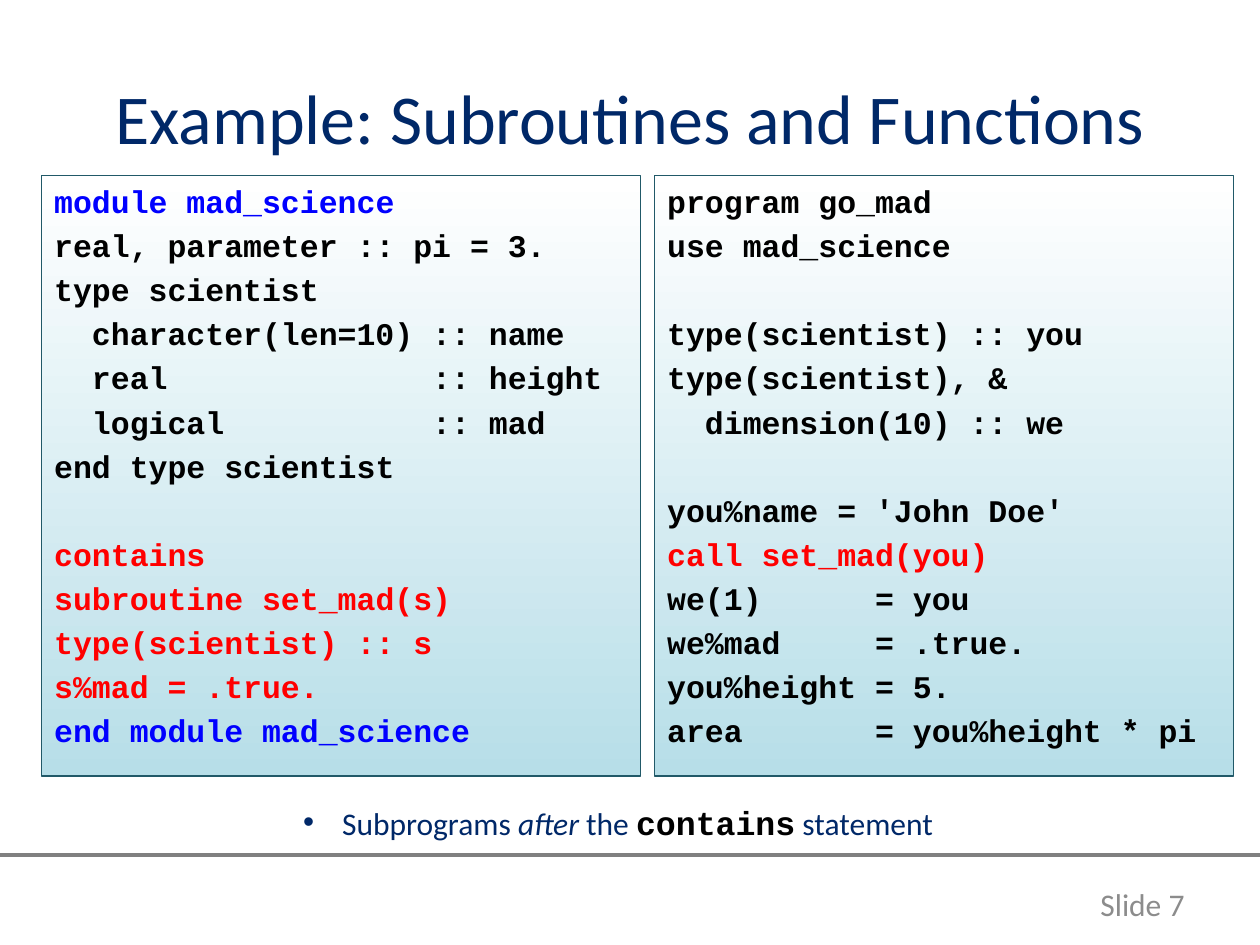
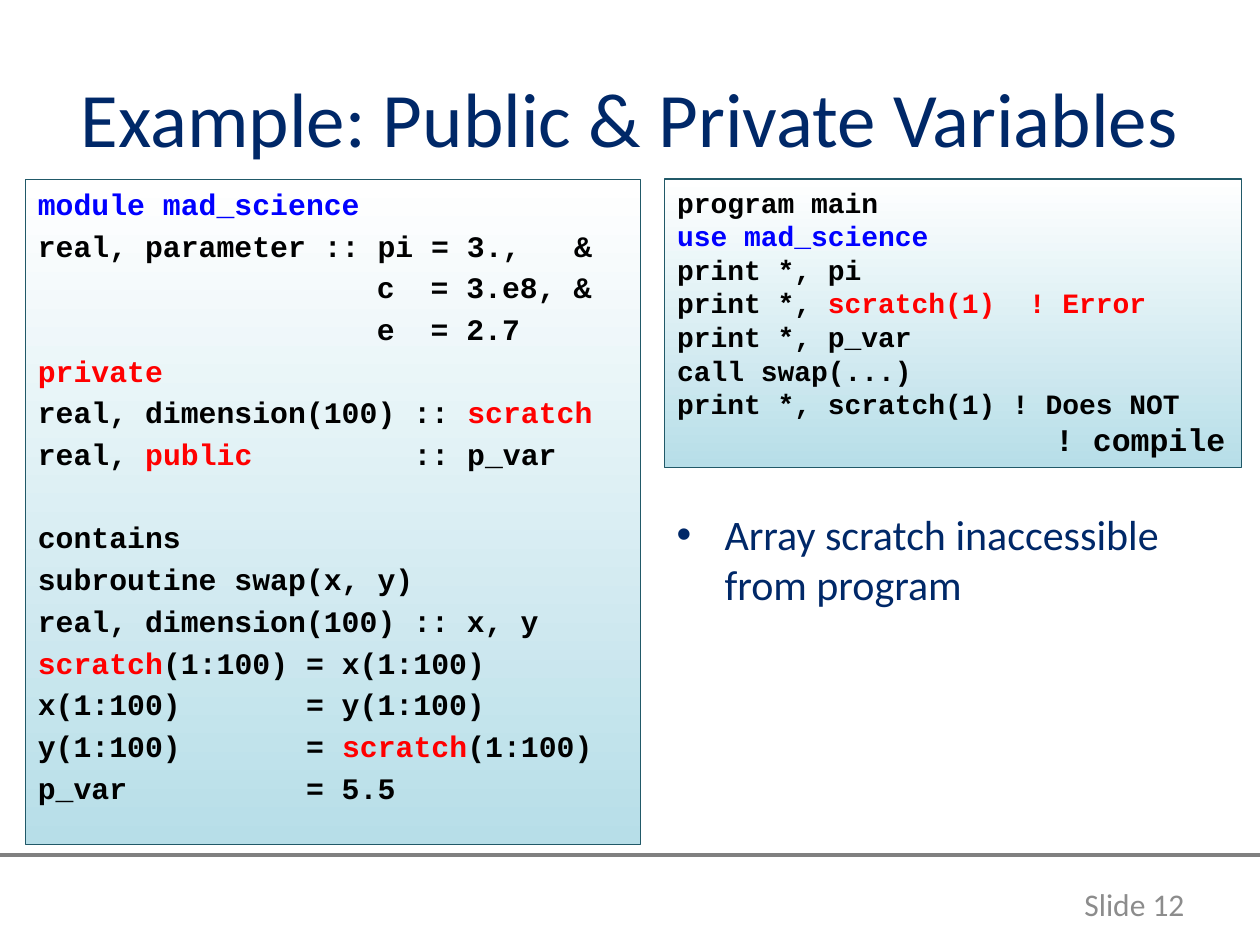
"""Build two slides of Fortran module examples."""
from dataclasses import dataclass
from typing import NamedTuple

from lxml.etree import SubElement
from pptx import Presentation
from pptx.dml.color import RGBColor as RGB
from pptx.enum.shapes import MSO_CONNECTOR as Connector, MSO_SHAPE as Shape
from pptx.enum.text import MSO_ANCHOR as Anchor, MSO_AUTO_SIZE as Fit, PP_ALIGN as Align
from pptx.oxml.ns import qn
from pptx.util import Emu, Inches, Pt


@dataclass(frozen=True)
class Theme:
    sans: str = "Calibri"
    mono: str = "Courier New"
    navy: str = "002868"
    black: str = "000000"
    blue: str = "0000FF"
    red: str = "FF0000"
    rule: str = "808080"
    footer: str = "8C8C8C"
    panel_low: str = "B7DEE8"
    panel_high: str = "FFFFFF"
    panel_edge: str = "215968"
    small: int = 18
    list_size: int = 24
    line_gap: float = 0.2
    line_pitch: float = 1.4
    char_width: float = 0.6


T = Theme()
WIDTH, HEIGHT = Inches(10), Inches(7.5)
COLS, ROWS = 100, 75
RULE_ROW = 67.85


class Box(NamedTuple):
    col: float
    row: float
    cols: float
    rows: float


class Run(NamedTuple):
    text: str
    color: str = T.black
    size: float = T.small
    font: str = T.mono
    bold: bool = True
    italic: bool = False


class Line(NamedTuple):
    runs: tuple[Run, ...]
    column: int = 0
    after_blank: bool = False
    size: float | None = None


@dataclass(frozen=True)
class Code:
    box: Box
    lines: list[Line]
    size: int = T.small
    spacing: float = T.line_gap


def code(*parts: str | Run, column: int = 0, after_blank: bool = False,
         size: float | None = None) -> Line:
    runs = tuple(Run(part) if isinstance(part, str) else part for part in parts)
    return Line(runs, column, after_blank, size)


def red(text: str) -> Run:
    return Run(text, T.red)


def blue(text: str) -> Run:
    return Run(text, T.blue)


def sans(text: str, size: float = T.small, color: str = T.navy, italic: bool = False) -> Run:
    return Run(text, color, size, T.sans, False, italic)


def aligned(left: str, column: int, right: str = "") -> str:
    return left.ljust(column) + right


def grid(box: Box) -> tuple[Emu, Emu, Emu, Emu]:
    x, y = WIDTH / COLS, HEIGHT / ROWS
    return Emu(int(box.col * x)), Emu(int(box.row * y)), Emu(int(box.cols * x)), Emu(int(box.rows * y))


def place(sp, box: Box, anchor=Anchor.TOP, fit=Fit.NONE):
    sp.left, sp.top, sp.width, sp.height = grid(box)
    tf = sp.text_frame
    tf.word_wrap, tf.auto_size, tf.vertical_anchor = True, fit, anchor
    return tf


def add_runs(p, runs: tuple[Run, ...], align=Align.LEFT) -> None:
    p.alignment = align
    for item in runs:
        r = p.add_run()
        r.text = item.text
        f = r.font
        f.name, f.size, f.bold, f.italic = item.font, Pt(item.size), item.bold, item.italic
        f.color.rgb = RGB.from_string(item.color)


def set_indent(p, left: Emu, bullet: bool = False) -> None:
    pPr = p._p.get_or_add_pPr()
    pPr.set("marL", str(int(left)))
    pPr.set("indent", str(-int(left) if bullet else 0))
    if bullet:
        SubElement(pPr, qn("a:buFont"), typeface="Arial")
        SubElement(pPr, qn("a:buChar"), char="•")
    else:
        SubElement(pPr, qn("a:buNone"))


def draw_code(sp, block: Code) -> None:
    tf = place(sp, block.box)
    sp.fill.gradient()
    sp.fill.gradient_angle = 90
    for stop, color in zip(sp.fill.gradient_stops, (T.panel_low, T.panel_high)):
        stop.color.rgb = RGB.from_string(color)
    sp.line.color.rgb = RGB.from_string(T.panel_edge)
    sp.line.width = Pt(0.75)
    for i, line in enumerate(block.lines):
        p = tf.add_paragraph() if i else tf.paragraphs[0]
        size = line.size or block.size
        gap = block.spacing + (T.line_pitch if line.after_blank else 0)
        p.space_before = Pt(gap * size if i else 0)
        add_runs(p, tuple(run._replace(size=size) for run in line.runs))
        set_indent(p, Pt(line.column * size * T.char_width))


def draw_bullet(sp, box: Box, runs: tuple[Run, ...], indent: float,
                align=Align.LEFT, fit=Fit.NONE) -> None:
    p = place(sp, box, fit=fit).paragraphs[0]
    p.space_before = Pt(0)
    add_runs(p, runs, align)
    set_indent(p, Inches(indent), bullet=True)


def add_page(prs, title: str, title_size: int, number: int):
    s = prs.slides.add_slide(prs.slide_layouts[3])
    y = Emu(int(HEIGHT * RULE_ROW / ROWS))
    rule = s.shapes.add_connector(Connector.STRAIGHT, 0, y, WIDTH, y)
    rule.line.color.rgb = RGB.from_string(T.rule)
    rule.line.width = Pt(2)
    SubElement(rule._element.spPr, qn("a:effectLst"))
    footer = Box(84.1, 69.75, 10.9, 4)
    tf = place(s.shapes.add_textbox(*grid(footer)), footer, Anchor.MIDDLE)
    add_runs(tf.paragraphs[0], (sans(f"Slide {number}", color=T.footer),), Align.RIGHT)
    tf = place(s.shapes.title, Box(5, 3, 90, 12.5), Anchor.MIDDLE)
    add_runs(tf.paragraphs[0], (sans(title, title_size),), Align.CENTER)
    return s


SCIENCE_MODULE = Code(Box(3.3, 13.95, 47.55, 47.65), [
    code(blue("module mad_science")),
    code("real, parameter :: pi = 3."),
    code("type scientist"),
    code("character(len=10) :: name", column=2),
    code(aligned("real", 18, ":: height"), column=2),
    code(aligned("logical", 18, ":: mad"), column=2),
    code("end type scientist"),
    code(red("contains"), after_blank=True),
    code(red("subroutine set_mad(s)")),
    code(red("type(scientist) :: s")),
    code(red("s%mad = .true.")),
    code(blue("end module mad_science")),
])

GO_MAD_PROGRAM = Code(Box(51.95, 13.95, 45.95, 47.65), [
    code("program go_mad"),
    code("use mad_science"),
    code("type(scientist) :: you", after_blank=True),
    code("type(scientist), &"),
    code("dimension(10) :: we", column=2),
    code("you%name = 'John Doe'", after_blank=True),
    code(red("call set_mad(you)")),
    code(aligned("we(1)", 11, "= you")),
    code(aligned("we%mad", 11, "= .true.")),
    code("you%height = 5."),
    code(aligned("area", 11, "= you%height * pi")),
])

PRIVATE_MODULE = Code(Box(2, 14.25, 48.85, 52.75), [
    code(blue("module mad_science")),
    code(aligned("real, parameter :: pi = 3.,", 30, "&")),
    code(aligned("c", 3, "= 3.e8, &"), column=19),
    code(aligned("e", 3, "= 2.7"), column=19),
    code(red("private")),
    code("real, dimension(100) :: ", red("scratch")),
    code("real, ", red(aligned("public", 14)), " :: p_var"),
    code("contains", after_blank=True),
    code("subroutine swap(x, y)"),
    code("real, dimension(100) :: x, y"),
    code(red("scratch"), "(1:100) = x(1:100)"),
    code(aligned("x(1:100)", 15, "= y(1:100)")),
    code(aligned("y(1:100)", 15, "= "), red("scratch"), "(1:100)"),
    code(aligned("p_var", 15, "= 5.5")),
], size=17)

MAIN_PROGRAM = Code(Box(52.75, 14.2, 45.8, 22.9), [
    code("program main"),
    code(blue("use mad_science")),
    code("print *, pi"),
    code("print *, ", red(aligned("scratch(1)", 12, "! Error"))),
    code("print *, p_var"),
    code("call swap(...)"),
    code("print *, scratch(1) ! Does NOT"),
    code("! compile", column=20, size=T.small),
], size=16, spacing=0)


def build_subroutines(prs) -> None:
    s = add_page(prs, "Example: Subroutines and Functions", 40, 7)
    draw_code(s.placeholders[1], SCIENCE_MODULE)
    draw_code(s.placeholders[2], GO_MAD_PROGRAM)
    note = Box(19.85, 63.15, 58.4, 4.2)
    runs = (sans("Subprograms "), sans("after", italic=True), sans(" the "),
            Run("contains", size=19), sans(" statement"))
    draw_bullet(s.shapes.add_textbox(*grid(note)), note, runs, 0.31,
                Align.CENTER, Fit.SHAPE_TO_FIT_TEXT)


def build_visibility(prs) -> None:
    s = add_page(prs, "Example: Public & Private Variables", 44, 12)
    draw_code(s.placeholders[1], PRIVATE_MODULE)
    draw_bullet(s.placeholders[2], Box(52.7, 39.85, 44, 12.5),
                (sans("Array scratch inaccessible from program", T.list_size),), 0.38)
    panel = s.shapes.add_shape(Shape.RECTANGLE, *grid(MAIN_PROGRAM.box))
    panel.shadow.inherit = False
    draw_code(panel, MAIN_PROGRAM)


def main() -> None:
    prs = Presentation()
    prs.slide_width, prs.slide_height = WIDTH, HEIGHT
    build_subroutines(prs)
    build_visibility(prs)
    prs.save("out.pptx")


if __name__ == "__main__":
    main()
